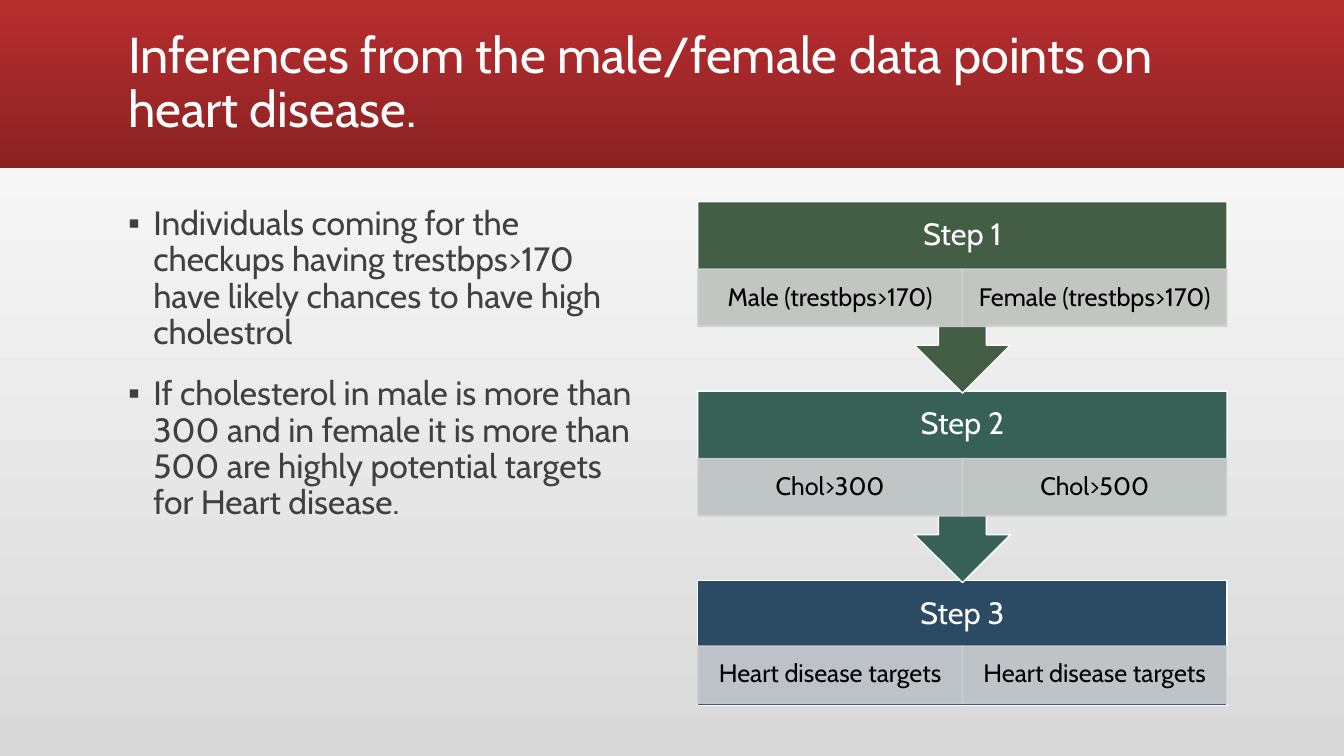
from dataclasses import dataclass

import pptx
import pptx.dml.color
import pptx.enum.shapes
import pptx.enum.text
import pptx.oxml
import pptx.oxml.ns
import pptx.util
from pptx.util import Inches

TITLE = "Inferences from the male/female data points on heart disease."
FINDINGS = [
    "Individuals coming for the checkups having trestbps>170 have likely chances to have high cholestrol",
    "If cholesterol in male is more than 300 and in female it is more than 500 "
    "are highly potential targets for Heart disease.",
]
# Each step: label, colour, then (text, colour) for male and female
STEPS = [
    ("Step 1", "445E45", [("Male (trestbps>170)", "CFD2D0"), ("Female (trestbps>170)", "CFD2CF")]),
    ("Step 2", "376156", [("Chol>300", "CED2D2"), ("Chol>500", "CED2D1")]),
    ("Step 3", "2B4A63", [("Heart disease targets", "CDD0D3"), ("Heart disease targets", "CED1D3")]),
]


@dataclass(frozen=True)
class Theme:
    font: str = "Cabin"
    white: str = "FFFFFF"
    black: str = "000000"
    body: str = "404040"
    background: tuple = ("D9D9D9", "FFFFFF")
    band: tuple = ("B82D2F", "8A2223")
    title_size: int = 36
    body_size: int = 24
    step_size: int = 22
    cell_size: int = 18
    cell_opacity: int = 90


THEME = Theme()
ALIGN = pptx.enum.text.PP_ALIGN
ANCHOR = pptx.enum.text.MSO_ANCHOR
SHAPE = pptx.enum.shapes.MSO_SHAPE

SLIDE_WIDTH, SLIDE_HEIGHT, BAND_HEIGHT = 13.33, 7.5, 1.67
FLOW_LEFT, FLOW_TOP, FLOW_WIDTH = 6.92, 2, 5.25
STEP_PITCH, CALLOUT_HEIGHT, LAST_HEIGHT = 1.88, 1.9, 1.24
LABEL_HEIGHT, CELL_HEIGHT = 0.67, 0.57
CELL_OFFSET, LAST_CELL_OFFSET = 0.67, 0.65


def rgb(color):
    return pptx.dml.color.RGBColor.from_string(color)


def place(shape, left, top, width, height):
    shape.left, shape.top = Inches(left), Inches(top)
    shape.width, shape.height = Inches(width), Inches(height)


def paint_gradient(fill, colors, angle):
    fill.gradient()
    fill.gradient_angle = angle
    for stop, position, color in zip(fill.gradient_stops, (0, 1), colors):
        stop.position = position
        stop.color.rgb = rgb(color)


def write(shape, *texts, size, color, align=ALIGN.LEFT, anchor=ANCHOR.MIDDLE,
          insets=(0.1, 0.05), before=0, bullet=None):
    """Fill a shape with one paragraph per text; insets are horizontal, vertical."""
    frame = shape.text_frame
    frame.word_wrap = True
    frame.auto_size = pptx.enum.text.MSO_AUTO_SIZE.NONE
    frame.vertical_anchor = anchor
    frame.margin_left = frame.margin_right = Inches(insets[0])
    frame.margin_top = frame.margin_bottom = Inches(insets[1])
    for index, text in enumerate(texts):
        para = frame.add_paragraph() if index else frame.paragraphs[0]
        para.alignment = align
        para.line_spacing = 0.9
        para.space_before = pptx.util.Pt(before)
        span = para.add_run()
        span.text = text
        span.font.name = THEME.font
        span.font.size = pptx.util.Pt(size)
        span.font.color.rgb = rgb(color)
        if bullet:
            properties = para._p.get_or_add_pPr()
            properties.set("marL", str(Inches(0.25)))
            properties.set("indent", str(Inches(-0.25)))
            mark = pptx.oxml.parse_xml(
                f'<a:buChar {pptx.oxml.ns.nsdecls("a")} char="{bullet}"/>')
            properties.append(mark)


def add_block(slide, kind, bounds, fill, line, opacity=100):
    block = slide.shapes.add_shape(kind, *map(Inches, bounds))
    block.shadow.inherit = False
    block.fill.solid()
    block.fill.fore_color.rgb = rgb(fill)
    block.line.color.rgb = rgb(line)
    block.line.width = pptx.util.Pt(1)
    if opacity < 100:
        for color in block.element.spPr.iter(pptx.oxml.ns.qn("a:srgbClr")):
            color.append(pptx.oxml.parse_xml(
                f'<a:alpha {pptx.oxml.ns.nsdecls("a")} val="{opacity * 1000}"/>'))
    return block


def add_step(slide, index):
    label, color, cells = STEPS[index]
    last = index == len(STEPS) - 1
    top = FLOW_TOP + index * STEP_PITCH
    kind = SHAPE.RECTANGLE if last else SHAPE.UP_ARROW_CALLOUT
    height = LAST_HEIGHT if last else CALLOUT_HEIGHT
    block = add_block(slide, kind, (FLOW_LEFT, top, FLOW_WIDTH, height), color, THEME.white)
    block.rotation = 0 if last else 180

    box = slide.shapes.add_textbox(*map(Inches, (FLOW_LEFT, top, FLOW_WIDTH, LABEL_HEIGHT)))
    write(box, label, size=THEME.step_size, color=THEME.white, align=ALIGN.CENTER,
          insets=(0.17, 0.17))

    cell_top = top + (LAST_CELL_OFFSET if last else CELL_OFFSET)
    cell_width = FLOW_WIDTH / len(cells)
    for column, (text, shade) in enumerate(cells):
        bounds = (FLOW_LEFT + column * cell_width, cell_top, cell_width, CELL_HEIGHT)
        cell = add_block(slide, SHAPE.RECTANGLE, bounds, shade, shade, THEME.cell_opacity)
        write(cell, text, size=THEME.cell_size, color=THEME.black, align=ALIGN.CENTER,
              insets=(0.14, 0.03))


def add_band(slide):
    """Put the title band behind everything else."""
    band = slide.shapes.add_shape(
        SHAPE.RECTANGLE, 0, 0, Inches(SLIDE_WIDTH), Inches(BAND_HEIGHT))
    band.shadow.inherit = False
    band.line.fill.background()
    paint_gradient(band.fill, THEME.band, 270)
    slide.shapes.element.insert(2, band.element)


def main():
    deck = pptx.Presentation()
    deck.slide_width, deck.slide_height = Inches(SLIDE_WIDTH), Inches(SLIDE_HEIGHT)
    slide = deck.slides.add_slide(deck.slide_layouts[1])
    paint_gradient(slide.background.fill, THEME.background, 90)
    add_band(slide)

    title, body = slide.shapes.title, slide.placeholders[1]
    place(title, 1.17, 0.11, 11, 1.45)
    write(title, TITLE, size=THEME.title_size, color=THEME.white)
    place(body, 1.17, 2, 5.25, 5)
    write(body, *FINDINGS, size=THEME.body_size, color=THEME.body, anchor=ANCHOR.TOP,
          before=18, bullet="▪")

    # Upper steps come last so that each arrow tip lies over the step below
    for index in reversed(range(len(STEPS))):
        add_step(slide, index)
    deck.save("out.pptx")


if __name__ == "__main__":
    main()
